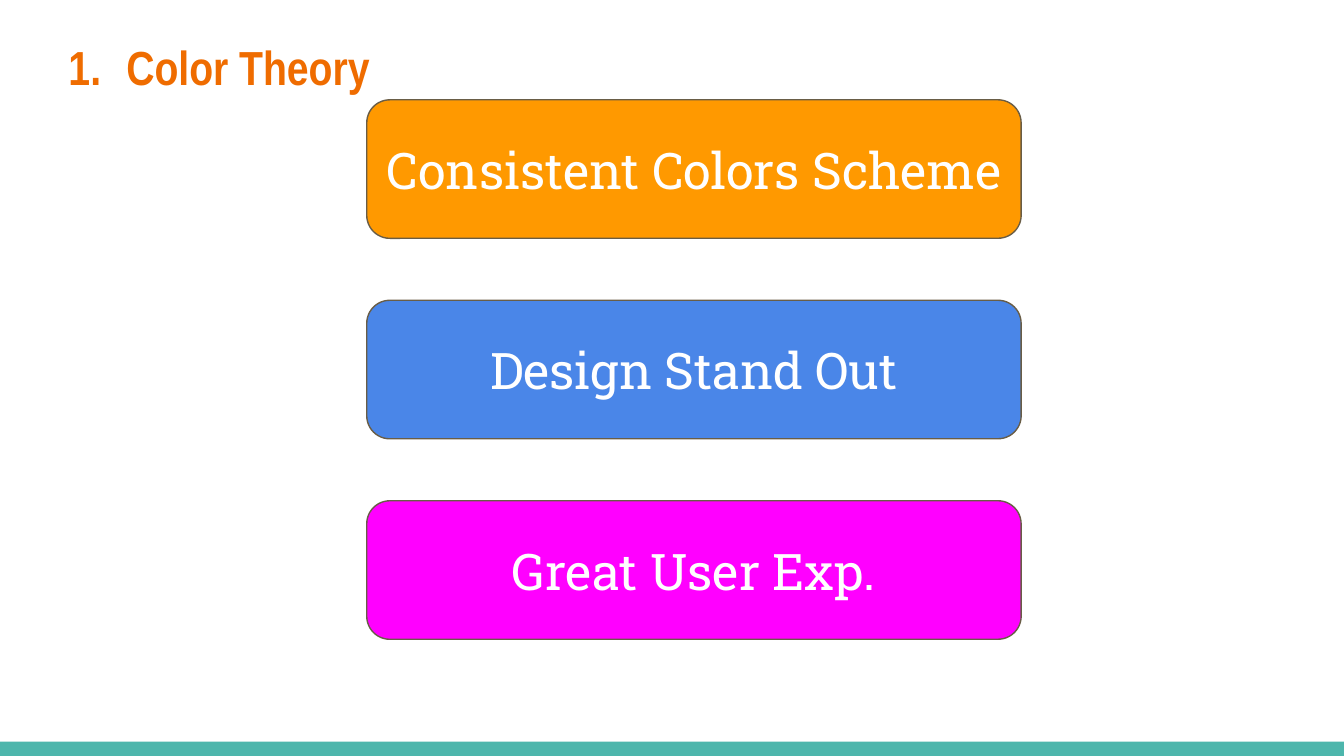
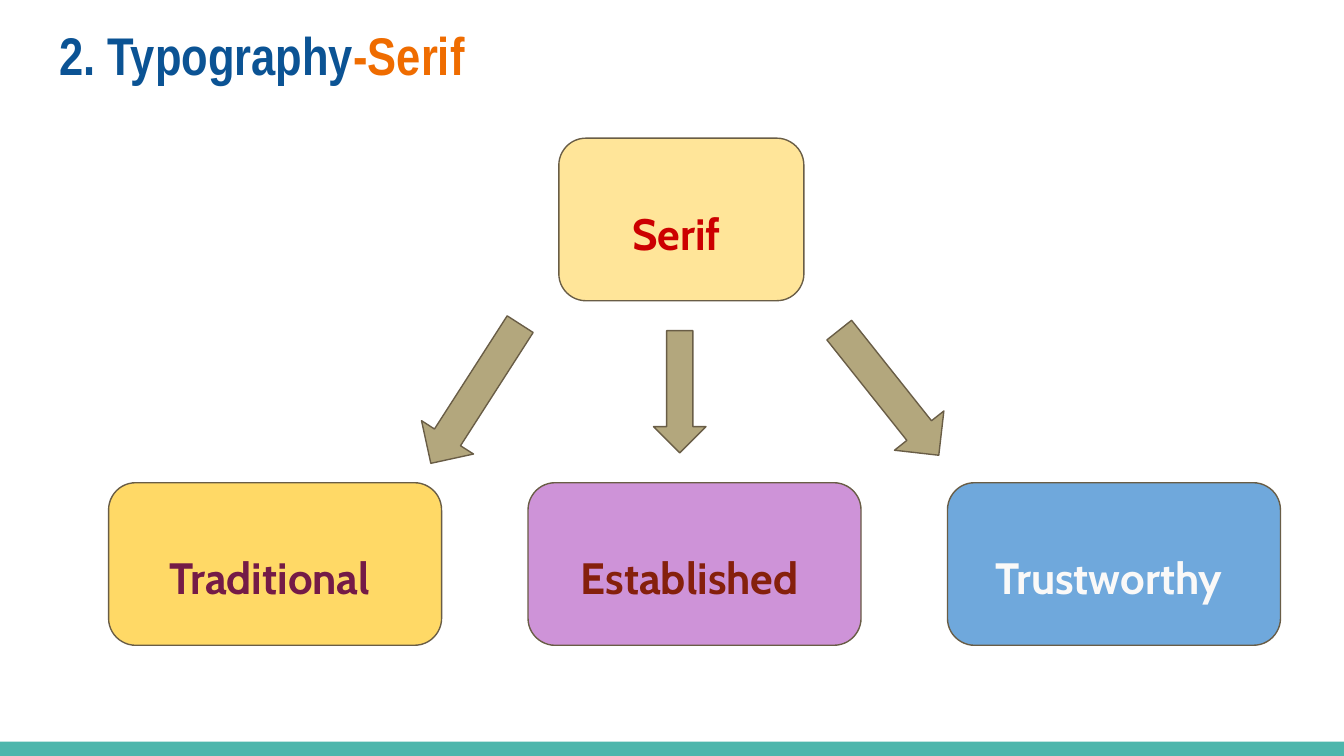
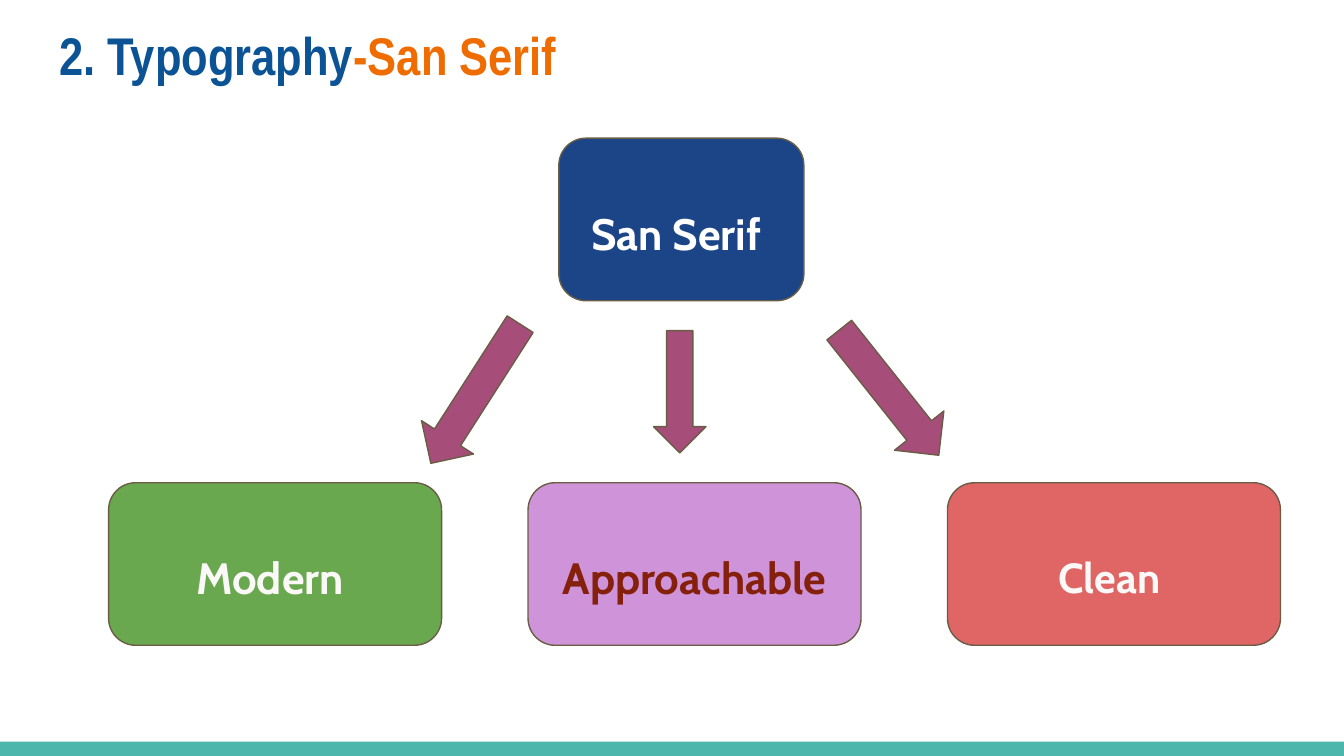
from lxml import etree
from pptx import Presentation
from pptx.dml.color import RGBColor
from pptx.enum.shapes import MSO_SHAPE as Shape
from pptx.enum.text import MSO_ANCHOR as Anchor, MSO_AUTO_SIZE as AutoSize, PP_ALIGN as Align
from pptx.oxml.ns import qn
from pptx.util import Pt

ORANGE, NAVY, TEAL, OUTLINE = "EF6C00", "0B5394", "4DB6AC", "695D46"
WHITE, OFF_WHITE, MAROON, LILAC = "FFFFFF", "FAF9F8", "85200C", "CE93D8"
MARGIN = 7.2


def add_block(slide, kind, left, top, width, height, fill, line=OUTLINE):
    block = slide.shapes.add_shape(kind, Pt(left), Pt(top), Pt(width), Pt(height))
    block.shadow.inherit = False
    block.fill.solid()
    block.fill.fore_color.rgb = RGBColor.from_string(fill)
    if line:
        block.line.color.rgb = RGBColor.from_string(line)
        block.line.width = Pt(0.75)
    else:
        block.line.fill.background()
    return block


def write(box, spans, font, size, bold=False, align=Align.CENTER, anchor=Anchor.MIDDLE):
    """Fill the box with one paragraph of (text, colour) spans and return it."""
    frame = box.text_frame
    frame.word_wrap = True
    frame.auto_size = AutoSize.NONE
    frame.vertical_anchor = anchor
    frame.margin_left = frame.margin_right = Pt(MARGIN)
    frame.margin_top = frame.margin_bottom = Pt(MARGIN)
    para = frame.paragraphs[0]
    para.alignment = align
    for text, colour in spans:
        span = para.add_run()
        span.text = text
        span.font.name = font
        span.font.size = Pt(size)
        span.font.bold = bold
        span.font.color.rgb = RGBColor.from_string(colour)
    return para


deck = Presentation()
deck.slide_width, deck.slide_height = Pt(720), Pt(405)
title_only = deck.slide_layouts[5]

pages, title_paras = [], []
for title_top, title_size, title_spans in [
    (13, 25.6, [("Color Theory", ORANGE)]),
    (5, 28.4, [("2. Typography", NAVY), ("-Serif", ORANGE)]),
    (5, 28.4, [("2. Typography", NAVY), ("-San Serif", ORANGE)]),
]:
    page = deck.slides.add_slide(title_only)
    title = page.shapes.title
    title.left, title.top, title.width, title.height = Pt(24.5), Pt(title_top), Pt(671), Pt(55.4)
    title_paras.append(write(title, title_spans, "Arial Narrow", title_size, True,
                             Align.LEFT, Anchor.TOP))
    pages.append(page)
color_page, *type_pages = pages

# The bottom band belongs to the shared layout
band = add_block(color_page, Shape.RECTANGLE, 0, 397.3, 720, 7.7, TEAL, line=None)
title_only.shapes.element.append(band.element)

# Slide 1: numbered title and three stacked boxes
numbering = title_paras[0]._p.get_or_add_pPr()
numbering.set("marL", str(Pt(36)))
numbering.set("indent", str(Pt(-31)))
number_colour = etree.SubElement(numbering, qn("a:buClr"))
etree.SubElement(number_colour, qn("a:srgbClr"), val=ORANGE)
etree.SubElement(numbering, qn("a:buFont"), typeface="Arial Narrow")
etree.SubElement(numbering, qn("a:buAutoNum"), type="arabicPeriod")

for row, (benefit, fill) in enumerate([
    ("Consistent Colors Scheme", "FF9900"),
    ("Design Stand Out", "4A86E8"),
    ("Great User Exp.", "FF00FF"),
]):
    box = add_block(color_page, Shape.ROUNDED_RECTANGLE, 196.5, 53.5 + 107.4 * row, 350.6, 74.2, fill)
    write(box, [(benefit, WHITE)], "Roboto Slab", 27)

# Slides 2 and 3: a typeface class with arrows to its three qualities
# Each box is text, text colour, fill and text size
families = [
    ("B3A77D", ("Serif ", "CC0000", "FFE599", 23.5), [
        ("Traditional ", "741B47", "FFD966", 23.5),
        ("Established ", MAROON, LILAC, 23.5),
        ("Trustworthy ", OFF_WHITE, "6FA8DC", 23.5),
    ]),
    ("A64D79", ("San Serif ", WHITE, "1C4587", 23.5), [
        ("Modern ", OFF_WHITE, "6AA84F", 23.5),
        ("Approachable", MAROON, LILAC, 23.5),
        ("Clean ", OFF_WHITE, "E06666", 22.5),
    ]),
]
arrows = [
    (210.4, 194.4, 88.6, 33.1, 122.7),
    (433.4, 193.5, 85.7, 33.8, 51.5),
    (331.4, 195.8, 65.5, 28.1, 90),
]
for page, (arrow_fill, family, qualities) in zip(type_pages, families):
    places = [(299.4, 74, 131.3)] + [(58.2 + 224.7 * column, 258.6, 178.4) for column in range(3)]
    for (left, top, width), (text, colour, fill, size) in zip(places, [family, *qualities]):
        box = add_block(page, Shape.ROUNDED_RECTANGLE, left, top, width, 87.1, fill)
        para = write(box, [(text, colour)], "Cabin", size, True)
        para.line_spacing = 1.5
    for left, top, width, height, angle in arrows:
        arrow = add_block(page, Shape.RIGHT_ARROW, left, top, width, height, arrow_fill)
        arrow.rotation = angle

deck.save("out.pptx")
